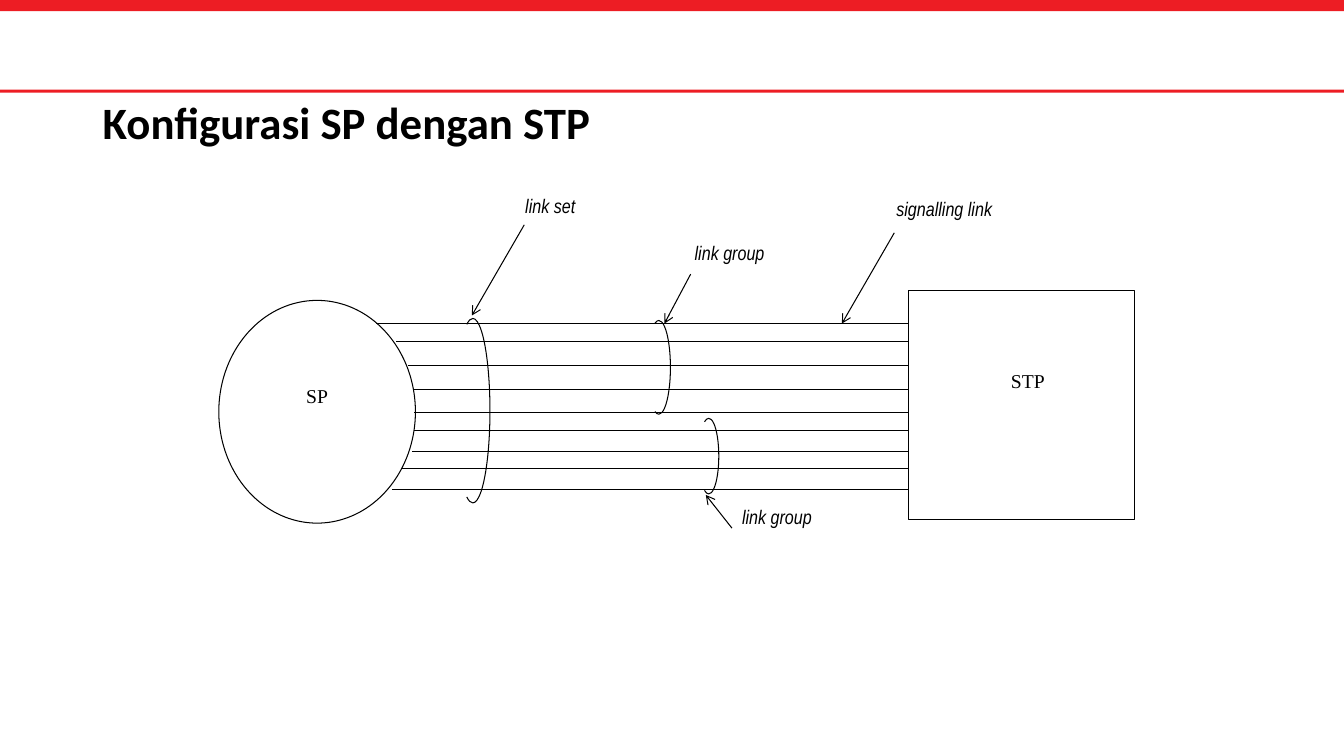
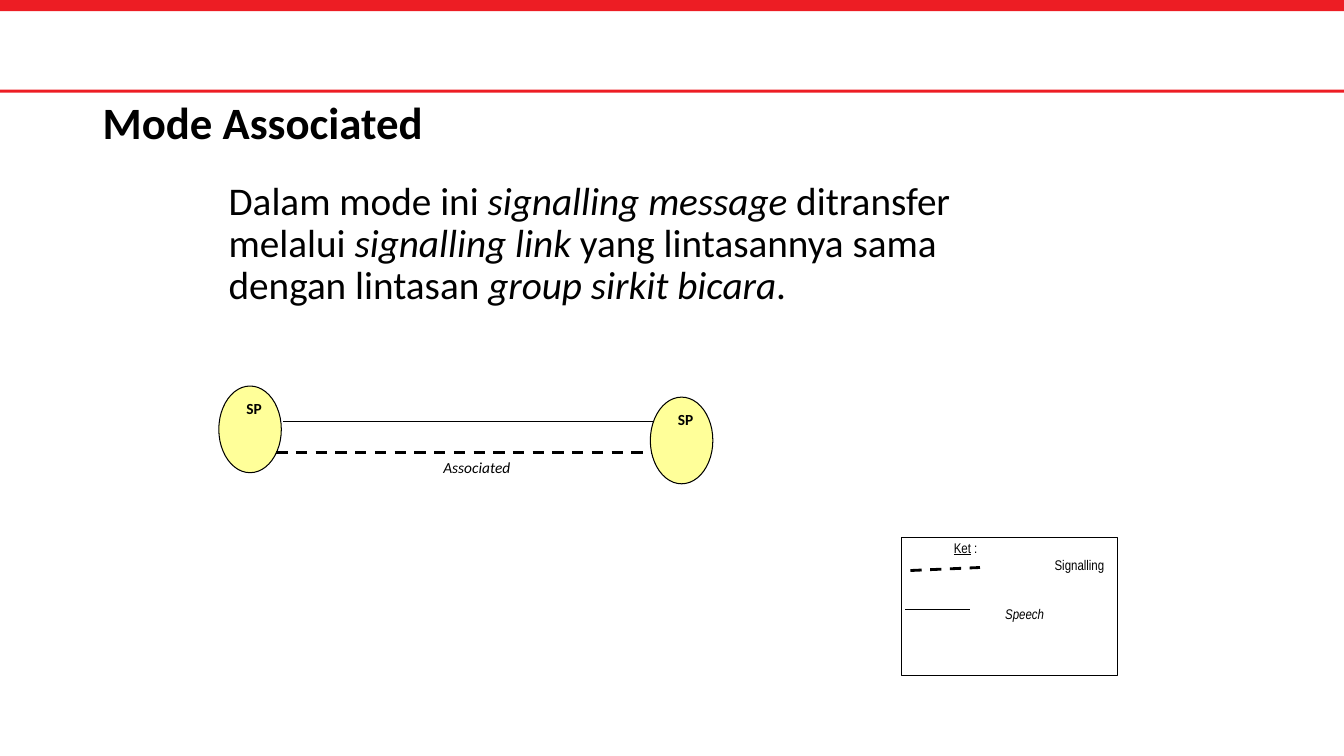
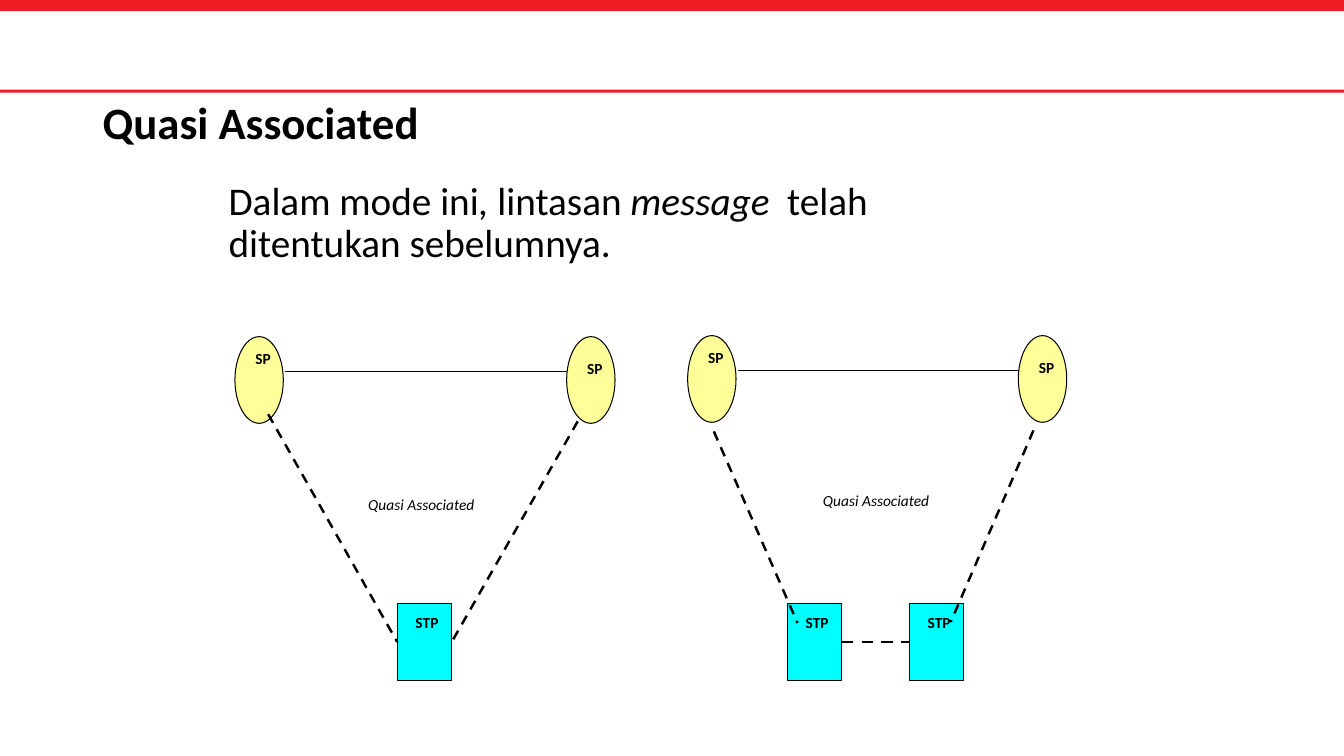
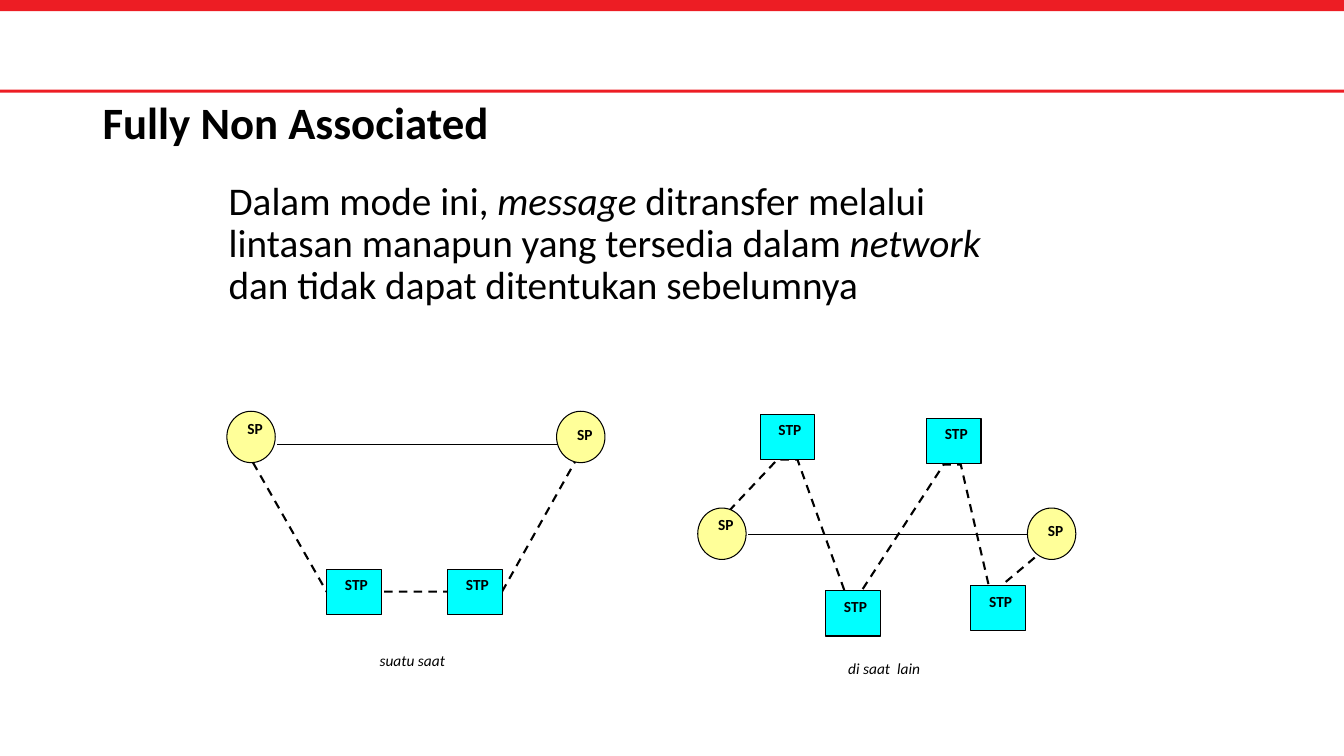
from dataclasses import dataclass

from lxml.etree import SubElement
from pptx import Presentation
from pptx.dml.color import RGBColor
from pptx.enum.dml import MSO_LINE
from pptx.enum.shapes import MSO_CONNECTOR, MSO_SHAPE
from pptx.enum.text import MSO_ANCHOR, PP_ALIGN
from pptx.oxml.ns import qn
from pptx.util import Inches, Pt

RED = RGBColor(0xED, 0x1D, 0x24)
BLACK = RGBColor(0, 0, 0)
WHITE = RGBColor(0xFF, 0xFF, 0xFF)
YELLOW = RGBColor(0xFF, 0xFF, 0x99)
CYAN = RGBColor(0, 0xFF, 0xFF)

TITLE = {"name": "Calibri", "size": Pt(32), "bold": True}
BODY = {"name": "Calibri", "size": Pt(28)}
NODE = {"name": "Calibri", "size": Pt(11), "bold": True}
CAPTION = {"name": "Calibri", "size": Pt(11), "italic": True}
CALLOUT = {"name": "Arial Narrow", "size": Pt(14), "italic": True}
STATION = {"name": "Times New Roman", "size": Pt(14)}
LEGEND = {"name": "Arial Narrow", "size": Pt(10)}

SLIDE_WIDTH = 13.33
Point = tuple[float, float]
Box = tuple[float, float, float, float]


@dataclass
class Run:
    text: str
    italic: bool = False


@dataclass
class Callout:
    text: str
    left: float
    top: float
    start: Point
    end: Point


@dataclass
class Bracket:
    """Open ellipse around a bundle of links; angles in degrees."""
    box: Box
    opening: int


@dataclass
class SpPair:
    """Two SP nodes joined by a speech line."""
    left: Point
    right: Point
    size: Point
    speech_y: float
    right_drop: float = 0


@dataclass
class LegendEntry:
    text: str
    indent: float
    before: float = 0
    italic: bool = False


def style(font, formats: dict) -> None:
    for name, value in formats.items():
        setattr(font, name, value)
    font.color.rgb = BLACK


def set_insets(frame, left: float, top: float, right: float, bottom: float) -> None:
    margins = {"margin_left": left, "margin_top": top,
               "margin_right": right, "margin_bottom": bottom}
    for name, value in margins.items():
        setattr(frame, name, Inches(value))


def add_text(slide, box: Box, runs: list[Run], formats: dict, align=PP_ALIGN.LEFT,
             inset: float = 0, spacing: float = 1.0):
    frame = slide.shapes.add_textbox(*map(Inches, box)).text_frame
    frame.word_wrap = True
    set_insets(frame, inset, inset / 2, inset, inset / 2)
    paragraph = frame.paragraphs[0]
    paragraph.alignment = align
    paragraph.line_spacing = spacing
    for part in runs:
        run = paragraph.add_run()
        run.text = part.text
        style(run.font, formats)
        if part.italic:
            run.font.italic = True
    return frame


def add_caption(slide, center: float, top: float, text: str) -> None:
    add_text(slide, (center - 1, top, 2, 0.4), [Run(text)], CAPTION, PP_ALIGN.CENTER, 0.04)


def add_outline(slide, kind, box: Box, fill: RGBColor | None = None):
    shape = slide.shapes.add_shape(kind, *map(Inches, box))
    shape.shadow.inherit = False
    if fill is None:
        shape.fill.background()
    else:
        shape.fill.solid()
        shape.fill.fore_color.rgb = fill
    shape.line.color.rgb = BLACK
    shape.line.width = Pt(0.75)
    return shape


def add_node(slide, kind, box: Box, fill: RGBColor, label: str,
             inset: Point, formats: dict = NODE):
    """Shape with its label near the top, shifted by the left and top inset."""
    node = add_outline(slide, kind, box, fill)
    frame = node.text_frame
    set_insets(frame, inset[0], inset[1], 0, 0)
    frame.vertical_anchor = MSO_ANCHOR.TOP
    paragraph = frame.paragraphs[0]
    paragraph.text = label
    paragraph.alignment = PP_ALIGN.CENTER
    style(paragraph.font, formats)
    return node


def add_stp(slide, left: float, top: float, height: float, label_top: float):
    return add_node(slide, MSO_SHAPE.RECTANGLE, (left, top, 0.54, height), CYAN,
                    "STP", (0.05, label_top))


def add_line(slide, start: Point, end: Point, width: float = 0.75,
             dashed: bool = False, arrow: bool = False):
    line = slide.shapes.add_connector(MSO_CONNECTOR.STRAIGHT, *map(Inches, start + end))
    line.line.color.rgb = BLACK
    line.line.width = Pt(width)
    properties = line._element.spPr
    if dashed:
        line.line.dash_style = MSO_LINE.DASH
    if arrow:
        SubElement(properties.find(qn("a:ln")), qn("a:tailEnd"), type="arrow")
    SubElement(properties, qn("a:effectLst"))
    return line


def add_route(slide, points: list[Point]) -> None:
    """Dashed signalling path through the given points."""
    start, *rest = [(Inches(x), Inches(y)) for x, y in points]
    builder = slide.shapes.build_freeform(*start, scale=1.0)
    builder.add_line_segments(rest, close=False)
    route = builder.convert_to_shape()
    route.shadow.inherit = False
    route.fill.background()
    route.line.color.rgb = BLACK
    route.line.width = Pt(1.5)
    route.line.dash_style = MSO_LINE.DASH


def add_sp_pair(slide, pair: SpPair) -> None:
    width = pair.size[0]
    add_line(slide, (pair.left[0] + width + 0.02, pair.speech_y),
             (pair.right[0] + 0.04, pair.speech_y))
    for corner, drop in ((pair.left, 0), (pair.right, pair.right_drop)):
        add_node(slide, MSO_SHAPE.OVAL, corner + pair.size, YELLOW, "SP", (0.08, drop))


def new_slide(deck, title: str, body: list[Run] | None = None):
    slide = deck.slides.add_slide(deck.slide_layouts[6])
    for top, height in ((0, 0.11), (0.89, 0.03)):
        band = add_outline(slide, MSO_SHAPE.RECTANGLE, (0, top, SLIDE_WIDTH, height), RED)
        band.line.fill.background()
    frame = add_text(slide, (0.92, 0.99, 11.5, 0.5), [Run(title)], TITLE,
                     inset=0.1, spacing=0.9)
    frame.vertical_anchor = MSO_ANCHOR.MIDDLE
    if body:
        add_text(slide, (2.17, 1.75, 8.17, 1.5), body, BODY, inset=0.1, spacing=0.9)
    return slide


def build_configuration(deck) -> None:
    slide = new_slide(deck, "Konfigurasi SP dengan STP")
    stp_left = 9.01
    add_node(slide, MSO_SHAPE.OVAL, (2.17, 2.98, 1.95, 2.21), WHITE, "SP",
             (0, 0.5), STATION)
    add_node(slide, MSO_SHAPE.RECTANGLE, (stp_left, 2.88, 2.24, 2.27), WHITE, "STP",
             (0.13, 0.78), STATION)

    link_starts = [(3.73, 3.21), (3.93, 3.39), (4.05, 3.63), (4.11, 3.86), (4.11, 4.09),
                   (4.11, 4.27), (4.09, 4.48), (3.98, 4.65), (3.89, 4.86)]
    for x, y in link_starts:
        add_line(slide, (x, y), (stp_left, y))

    brackets = [Bracket((4.52, 3.16, 0.34, 1.83), 94),
                Bracket((6.42, 3.18, 0.23, 0.93), 95),
                Bracket((6.93, 4.15, 0.2, 0.75), 97)]
    for bracket in brackets:
        arc = add_outline(slide, MSO_SHAPE.ARC, bracket.box)
        # An adjustment of 0.6 is one degree.
        arc.adjustments[0] = (360 - bracket.opening) * 0.6
        arc.adjustments[1] = bracket.opening * 0.6

    callouts = [Callout("link set", 5.21, 1.92, (5.2, 2.23), (4.68, 3.13)),
                Callout("link group", 6.89, 2.39, (6.85, 2.72), (6.59, 3.21)),
                Callout("signalling link", 8.89, 1.95, (8.87, 2.31), (8.35, 3.21)),
                Callout("link group", 7.36, 5.01, (7.26, 5.24), (7, 4.91))]
    for callout in callouts:
        add_text(slide, (callout.left, callout.top, 1.4, 0.46), [Run(callout.text)], CALLOUT)
        add_line(slide, callout.start, callout.end, arrow=True)


def add_legend(slide) -> None:
    frame = add_outline(slide, MSO_SHAPE.RECTANGLE, (8.94, 5.33, 2.14, 1.37)).text_frame
    set_insets(frame, 0.02, 0.02, 0.02, 0.02)
    frame.vertical_anchor = MSO_ANCHOR.TOP
    entries = [LegendEntry("Ket", 0.5), LegendEntry("Signalling", 1.5),
               LegendEntry("Speech", 1.01, 23, True)]
    for index, entry in enumerate(entries):
        paragraph = frame.add_paragraph() if index else frame.paragraphs[0]
        paragraph.alignment = PP_ALIGN.LEFT
        paragraph.space_before = Pt(entry.before)
        paragraph._p.get_or_add_pPr().set("marL", str(Inches(entry.indent)))
        run = paragraph.add_run()
        run.text = entry.text
        style(run.font, LEGEND | {"italic": entry.italic, "underline": index == 0})
    colon = frame.paragraphs[0].add_run()
    colon.text = " :"
    style(colon.font, LEGEND)
    add_line(slide, (9.03, 5.66), (9.72, 5.63), 2, dashed=True)
    add_line(slide, (8.98, 6.05), (9.62, 6.05))


def build_associated(deck) -> None:
    slide = new_slide(deck, "Mode Associated", [
        Run("Dalam mode ini "), Run("signalling message ", True),
        Run("ditransfer melalui "), Run("signalling link ", True),
        Run("yang lintasannya sama dengan lintasan "),
        Run("group sirkit bicara", True), Run(".")])
    add_sp_pair(slide, SpPair((2.17, 3.83), (6.45, 3.94), (0.62, 0.86), 4.18))
    add_line(slide, (2.74, 4.49), (6.46, 4.49), 2, dashed=True)
    add_caption(slide, 4.73, 4.52, "Associated")
    add_legend(slide)


def build_quasi_associated(deck) -> None:
    slide = new_slide(deck, "Quasi Associated", [
        Run("Dalam mode ini"), Run(", ", True), Run("lintasan "),
        Run("message  ", True), Run("telah ditentukan sebelumnya.")])
    sp_size = (0.48, 0.86)
    add_sp_pair(slide, SpPair((2.33, 3.34), (5.62, 3.34), sp_size, 3.69, 0.1))
    add_sp_pair(slide, SpPair((6.82, 3.33), (10.1, 3.33), sp_size, 3.68, 0.1))
    single, first, second = [add_stp(slide, left, 5.99, 0.76, 0.09)
                             for left in (3.94, 7.81, 9.02)]

    add_line(slide, (2.66, 4.11), (3.94, 6.37), 1.75, dashed=True).end_connect(single, 1)
    add_line(slide, (5.73, 4.18), (4.48, 6.37), 1.75, dashed=True).end_connect(single, 3)
    add_line(slide, (7.08, 4.28), (7.91, 6.18), 1.75, dashed=True)
    add_line(slide, (10.25, 4.27), (9.43, 6.17), 1.75, dashed=True)
    between = add_line(slide, (8.35, 6.37), (9.02, 6.37), 2, dashed=True)
    between.begin_connect(first, 3)
    between.end_connect(second, 1)

    for center, top in ((4.18, 4.89), (8.69, 4.85)):
        add_caption(slide, center, top, "Quasi Associated")


def build_non_associated(deck) -> None:
    slide = new_slide(deck, "Fully Non Associated", [
        Run("Dalam mode ini, "), Run("message ", True),
        Run("ditransfer melalui lintasan manapun yang tersedia dalam "),
        Run("network ", True), Run("dan tidak dapat ditentukan sebelumnya")])
    add_route(slide, [(2.51, 4.59), (3.24, 5.87), (4.98, 5.87), (5.71, 4.57)])
    add_route(slide, [(7.23, 5.07), (7.71, 4.56), (7.91, 4.56), (8.38, 5.87), (8.54, 5.87),
                      (9.36, 4.61), (9.53, 4.61), (9.81, 5.82), (9.92, 5.82), (10.29, 5.51)])
    sp_size = (0.48, 0.51)
    add_sp_pair(slide, SpPair((2.25, 4.08), (5.52, 4.08), sp_size, 4.41, 0.06))
    add_sp_pair(slide, SpPair((6.92, 5.04), (10.19, 5.04), sp_size, 5.3, 0.06))
    for left, top in ((3.24, 5.65), (4.44, 5.65), (7.54, 4.11),
                      (8.19, 5.86), (9.19, 4.15), (9.63, 5.81)):
        add_stp(slide, left, top, 0.45, 0.06)
    add_caption(slide, 4.09, 6.44, "suatu saat")
    add_caption(slide, 8.77, 6.52, "di saat  lain")


def main() -> None:
    deck = Presentation()
    deck.slide_width = Inches(SLIDE_WIDTH)
    deck.slide_height = Inches(7.5)
    for build in (build_configuration, build_associated,
                  build_quasi_associated, build_non_associated):
        build(deck)
    deck.save("out.pptx")


if __name__ == "__main__":
    main()
